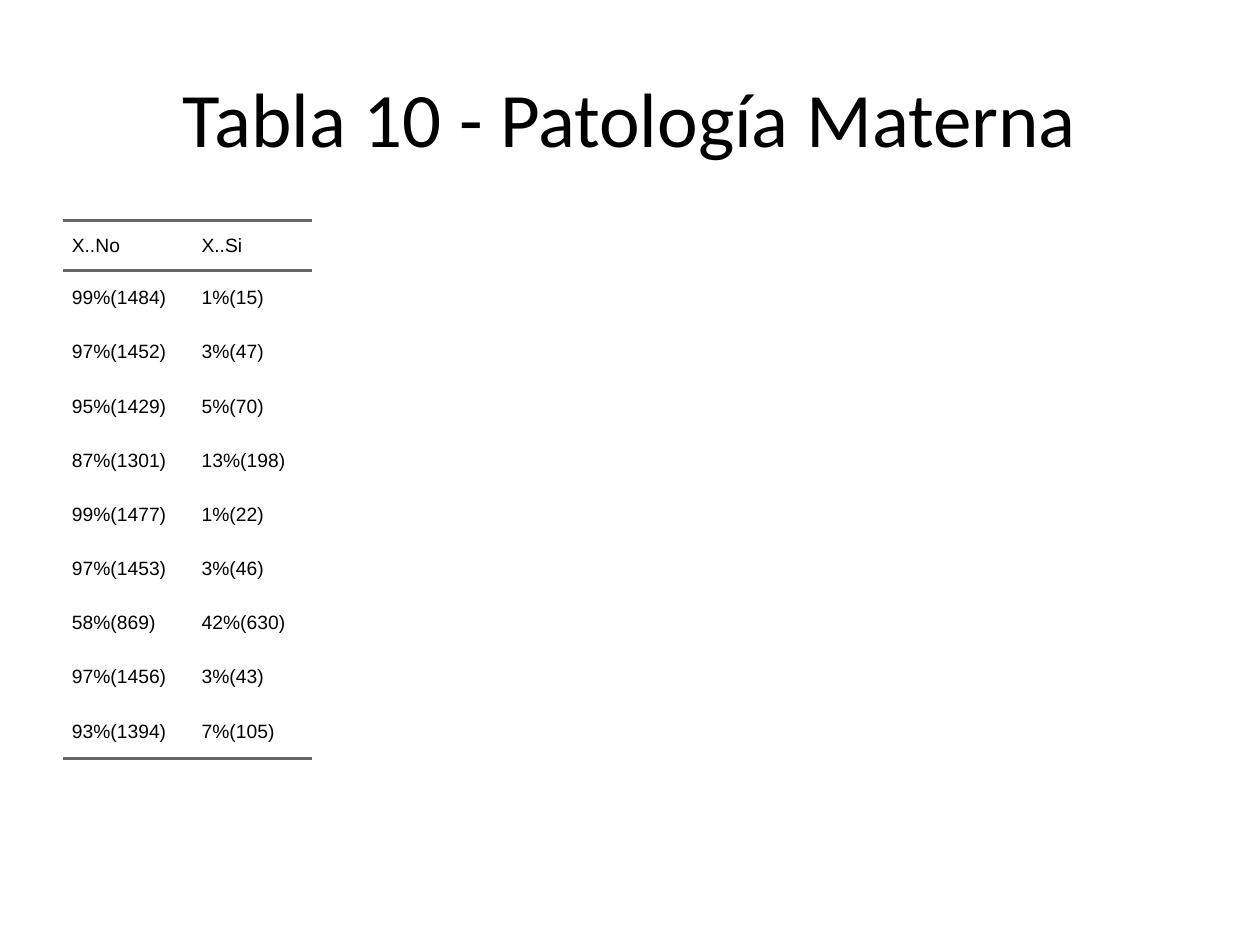
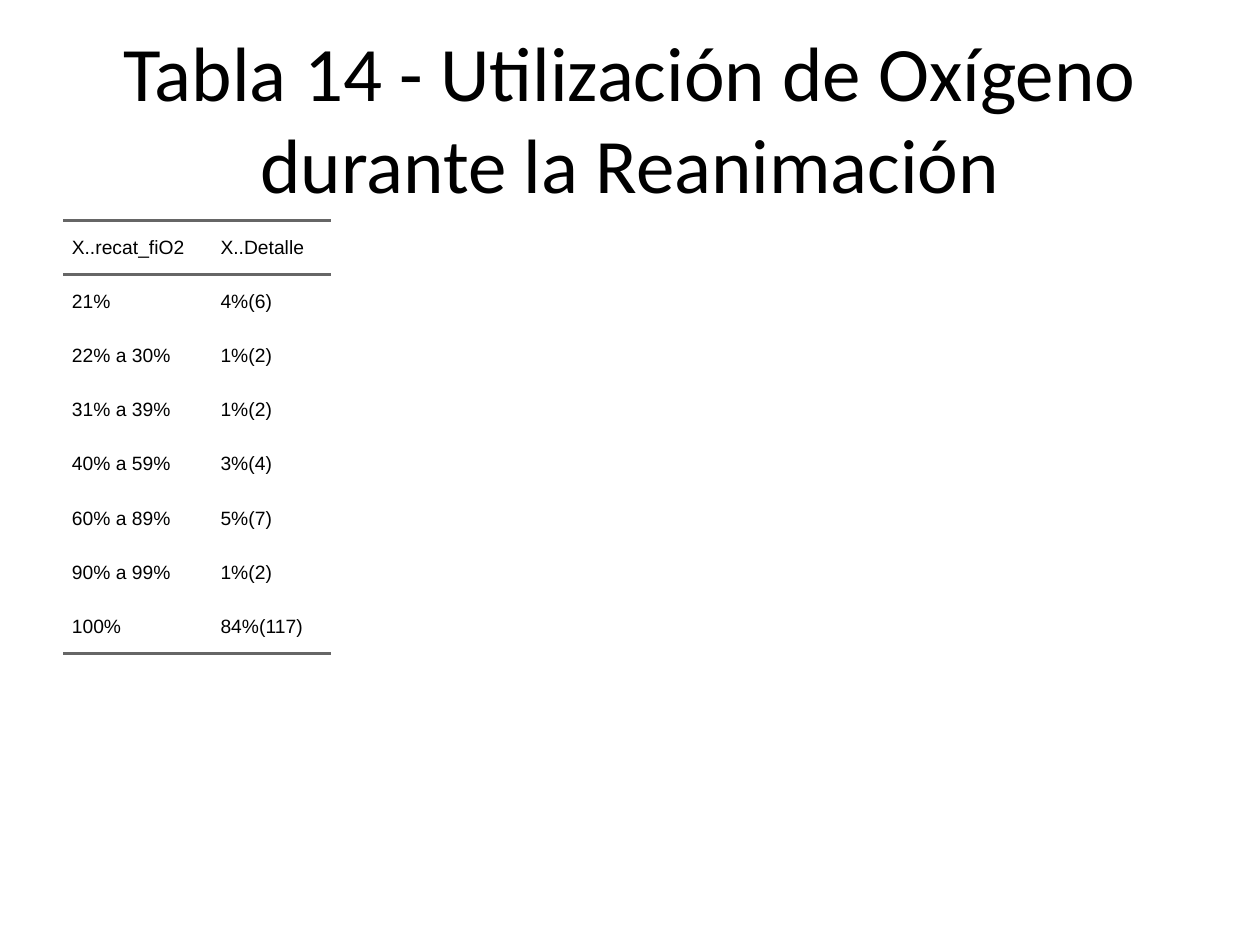
from dataclasses import dataclass

from lxml.etree import SubElement
from pptx import Presentation
from pptx.dml.color import RGBColor as RGB
from pptx.enum.text import MSO_ANCHOR as ANCHOR, MSO_AUTO_SIZE as AUTOSIZE, PP_ALIGN as ALIGN
from pptx.oxml.ns import qn
from pptx.util import Inches, Pt


@dataclass(frozen=True)
class Theme:
    """Colours, fonts and type sizes shared by the slides."""
    text: str = "000000"
    rule: str = "666666"
    rule_width: float = 2
    title_font: str = "Calibri"
    title_size: int = 44
    table_font: str = "Arial"
    table_size: int = 11
    cell_gap: int = 5
    cell_indent: float = 0.07
    plain_table: str = "{2D5ABB26-0587-4C30-8999-92F81FD0307C}"


def apply(obj, values):
    """Set every attribute named in a dict."""
    for name, value in values.items():
        setattr(obj, name, value)


class Deck:
    """Holds the theme and the current slide."""

    def __init__(self, prs, theme):
        """Keep the presentation and its theme."""
        self.prs, self.theme, self.s = prs, theme, None

    def style_run(self, r, font, size):
        """Give a run its font, size and the text colour."""
        apply(r.font, {"name": font, "size": Pt(size), "bold": False})
        r.font.color.rgb = RGB.from_string(self.theme.text)

    def new_slide(self, title):
        """Start a slide with a centred title."""
        self.s = self.prs.slides.add_slide(self.prs.slide_layouts[5])
        sp = self.s.shapes.title
        apply(sp, {"left": Inches(0.5), "top": Inches(0.3),
                   "width": Inches(9), "height": Inches(1.25)})
        tf = sp.text_frame
        apply(tf, {"word_wrap": True, "auto_size": AUTOSIZE.NONE,
                   "vertical_anchor": ANCHOR.MIDDLE})
        p = tf.paragraphs[0]
        p.alignment = ALIGN.CENTER
        r = p.add_run()
        r.text = title
        self.style_run(r, self.theme.title_font, self.theme.title_size)

    def rule(self, cell, side):
        """Draw a horizontal rule on the T or B side of a cell."""
        ln = SubElement(cell._tc.get_or_add_tcPr(), qn(f"a:ln{side}"),
                        w=str(Pt(self.theme.rule_width)))
        fill = SubElement(ln, qn("a:solidFill"))
        SubElement(fill, qn("a:srgbClr"), val=self.theme.rule)

    def cell(self, cell, text, sides):
        """Fill one cell, with rules on the given sides."""
        t = self.theme
        margins = ("margin_left", "margin_right", "margin_top", "margin_bottom")
        apply(cell, dict.fromkeys(margins, 0))
        cell.vertical_anchor = ANCHOR.MIDDLE
        for side in sides:
            self.rule(cell, side)
        cell.fill.background()
        p = cell.text_frame.paragraphs[0]
        apply(p, {"alignment": ALIGN.LEFT, "space_before": Pt(t.cell_gap),
                  "space_after": Pt(t.cell_gap)})
        p._p.get_or_add_pPr().set("marL", str(Inches(t.cell_indent)))
        r = p.add_run()
        r.text = text
        self.style_run(r, t.table_font, t.table_size)

    def table(self, rows, col_widths, header_height=0.43, row_height=0.43):
        """Add a table ruled above and below the header and at the end."""
        box = {"left": Inches(0.5), "top": Inches(1.75),
               "width": Inches(9), "height": Inches(4.95)}
        frame = self.s.shapes.add_table(len(rows), len(col_widths), **box)
        table = frame.table
        apply(table, {"first_row": False, "horz_banding": False})
        table._tbl.tblPr.find(qn("a:tableStyleId")).text = self.theme.plain_table
        for column, width in zip(table.columns, col_widths):
            column.width = Inches(width)
        for i, values in enumerate(rows):
            table.rows[i].height = Inches(row_height if i else header_height)
            sides = "TB" if i == 0 else "B" if i == len(rows) - 1 else ""
            for j, text in enumerate(values):
                self.cell(table.cell(i, j), text, sides)
        apply(frame, box)


prs = Presentation()
apply(prs, {"slide_width": Inches(10), "slide_height": Inches(7.5)})
deck = Deck(prs, Theme())

deck.new_slide("Tabla 10 - Patología Materna")
deck.table([
    ("X..No", "X..Si"),
    ("99%(1484)", "1%(15)"),
    ("97%(1452)", "3%(47)"),
    ("95%(1429)", "5%(70)"),
    ("87%(1301)", "13%(198)"),
    ("99%(1477)", "1%(22)"),
    ("97%(1453)", "3%(46)"),
    ("58%(869)", "42%(630)"),
    ("97%(1456)", "3%(43)"),
    ("93%(1394)", "7%(105)"),
], (1.03, 0.95), header_height=0.4)

deck.new_slide("Tabla 14 - Utilización de Oxígeno durante la Reanimación")
deck.table([
    ("X..recat_fiO2", "X..Detalle"),
    ("21%", "4%(6)"),
    ("22% a 30%", "1%(2)"),
    ("31% a 39%", "1%(2)"),
    ("40% a 59%", "3%(4)"),
    ("60% a 89%", "5%(7)"),
    ("90% a 99%", "1%(2)"),
    ("100%", "84%(117)"),
], (1.18, 0.95))

prs.save("out.pptx")
